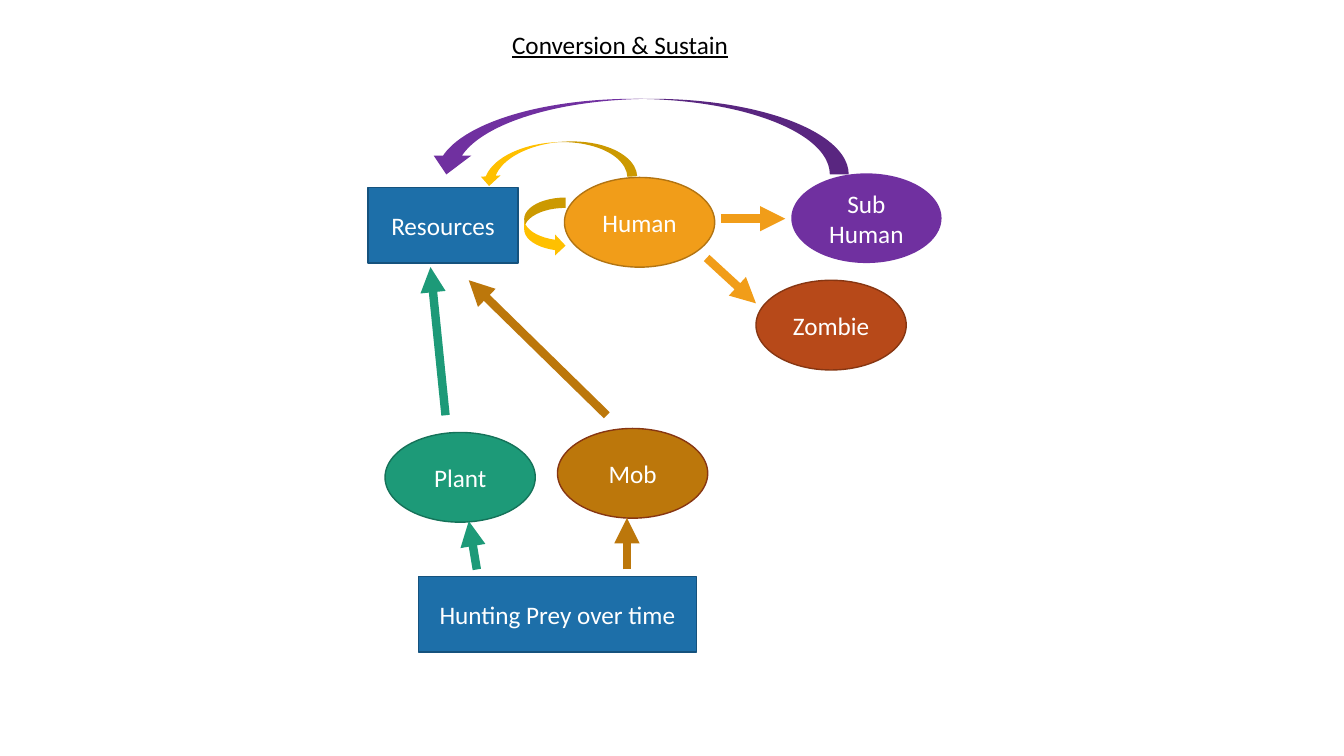
from lxml import etree
from pptx import Presentation
from pptx import util as u
from pptx.dml.color import RGBColor
from pptx.enum import shapes, text
from pptx.oxml.ns import qn

SLIDE_W, SLIDE_H = u.Inches(13.333), u.Inches(7.5)
FONT = "Calibri"
BLACK, WHITE = RGBColor(0, 0, 0), RGBColor(255, 255, 255)
BLUE, BLUE_EDGE = RGBColor(0x1D, 0x6F, 0xA9), RGBColor(0x15, 0x52, 0x7D)
GREEN, GREEN_EDGE = RGBColor(0x1D, 0x9A, 0x78), RGBColor(0x15, 0x72, 0x59)
ORANGE, ORANGE_EDGE = RGBColor(0xF1, 0x9D, 0x19), RGBColor(0xB2, 0x74, 0x12)
RUST, RUST_EDGE = RGBColor(0xB7, 0x49, 0x19), RGBColor(0x87, 0x36, 0x12)
BROWN = RGBColor(0xBC, 0x77, 0x0B)
PURPLE = RGBColor(0x70, 0x30, 0xA0)
GOLD = RGBColor(0xFF, 0xC0, 0x00)

# Sizes of the recurring kinds, in percent of the slide
BEING = (11.18, 11.87)
BOX_W, BOX_H = 11.18, 10
KIND = shapes.MSO_SHAPE


def across(percent):
    return round(SLIDE_W * percent / 100)


def down(percent):
    return round(SLIDE_H * percent / 100)


def place(x, y, width, height):
    return across(x), down(y), across(width), down(height)


def write(frame, lines, color, align, underline=None):
    for number, line in enumerate(lines):
        paragraph = frame.paragraphs[0] if number == 0 else frame.add_paragraph()
        paragraph.alignment = align
        run = paragraph.add_run()
        run.text = line
        run.font.name, run.font.size = FONT, u.Pt(18)
        run.font.color.rgb = color
        run.font.underline = underline


def add_title(slide, wording, area):
    title = slide.shapes.title
    title.left, title.top, title.width, title.height = place(*area)
    frame = title.text_frame
    frame.word_wrap = True
    frame.auto_size = text.MSO_AUTO_SIZE.NONE
    frame.vertical_anchor = text.MSO_ANCHOR.TOP
    write(frame, [wording], BLACK, text.PP_ALIGN.LEFT, True)
    frame.paragraphs[0].line_spacing = 1.0


def add_block(slide, kind, area, fill, edge=None, lines=(), turn=0):
    block = slide.shapes.add_shape(kind, *place(*area))
    block.shadow.inherit = False
    block.rotation = turn
    block.fill.solid()
    block.fill.fore_color.rgb = fill
    if edge is None:
        block.line.fill.background()
    else:
        block.line.color.rgb = edge
        block.line.width = u.Pt(1)
    block.text_frame.vertical_anchor = text.MSO_ANCHOR.MIDDLE
    write(block.text_frame, lines, WHITE, text.PP_ALIGN.CENTER)


def add_arrow(slide, start, end, color):
    arrow = slide.shapes.add_connector(
        shapes.MSO_CONNECTOR.STRAIGHT,
        across(start[0]), down(start[1]), across(end[0]), down(end[1]))
    arrow.line.color.rgb = color
    arrow.line.width = u.Pt(6)
    etree.SubElement(arrow.line._get_or_add_ln(), qn("a:tailEnd"), type="triangle")
    etree.SubElement(arrow._element.spPr, qn("a:effectLst"))


def main():
    deck = Presentation()
    deck.slide_width, deck.slide_height = SLIDE_W, SLIDE_H
    slide = deck.slides.add_slide(deck.slide_layouts[5])
    add_title(slide, "Conversion & Sustain", (37.35, 3.2, 20.55, 5.33))

    # Beings
    for lines, x, y, fill, edge in (
            (["Human"], 42, 23.47, ORANGE, ORANGE_EDGE),
            (["Sub", "Human"], 58.88, 22.93, PURPLE, None),
            (["Zombie"], 56.25, 37.07, RUST, RUST_EDGE),
            (["Plant"], 28.65, 57.2, GREEN, GREEN_EDGE),
            (["Mob"], 41.48, 56.67, BROWN, RUST_EDGE)):
        add_block(slide, KIND.OVAL, (x, y, *BEING), fill, edge, lines)

    # Resources and hunting
    for label, x, y, width in (
            ("Resources", 27.38, 24.8, BOX_W),
            ("Hunting Prey over time", 31.13, 76.27, 20.7)):
        add_block(slide, KIND.RECTANGLE, (x, y, width, BOX_H),
                  BLUE, BLUE_EDGE, [label])

    # Curved returns: human to itself, human and sub human to resources
    for kind, area, color, turn in (
            (KIND.CURVED_RIGHT_ARROW, (39, 26.13, 3.08, 7.73), GOLD, 0),
            (KIND.CURVED_UP_ARROW, (35.55, 18.8, 11.78, 5.2), GOLD, 176.2),
            (KIND.CURVED_UP_ARROW, (31.8, 13.07, 31.35, 10), PURPLE, 180)):
        add_block(slide, kind, area, color, turn=turn)

    # Straight conversions
    for start, end, color in (
            ((53.63, 28.93), (58.43, 28.93), ORANGE),
            ((52.58, 34.13), (56.25, 40.13), ORANGE),
            ((33.15, 54.93), (32.03, 35.33), GREEN),
            ((45.15, 54.93), (34.88, 37.07), BROWN),
            ((35.48, 75.33), (34.88, 68.93), GREEN),
            ((46.65, 75.33), (46.65, 68.53), BROWN)):
        add_arrow(slide, start, end, color)

    deck.save("out.pptx")


main()
